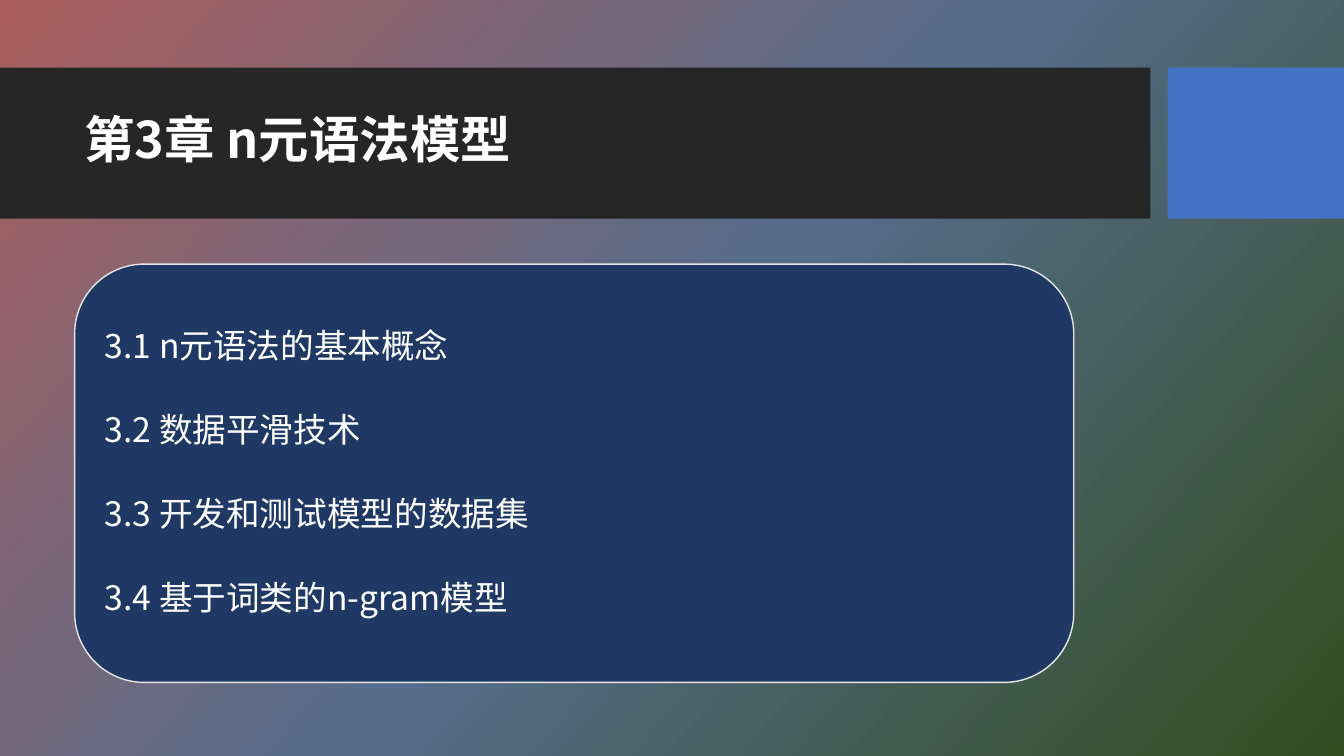
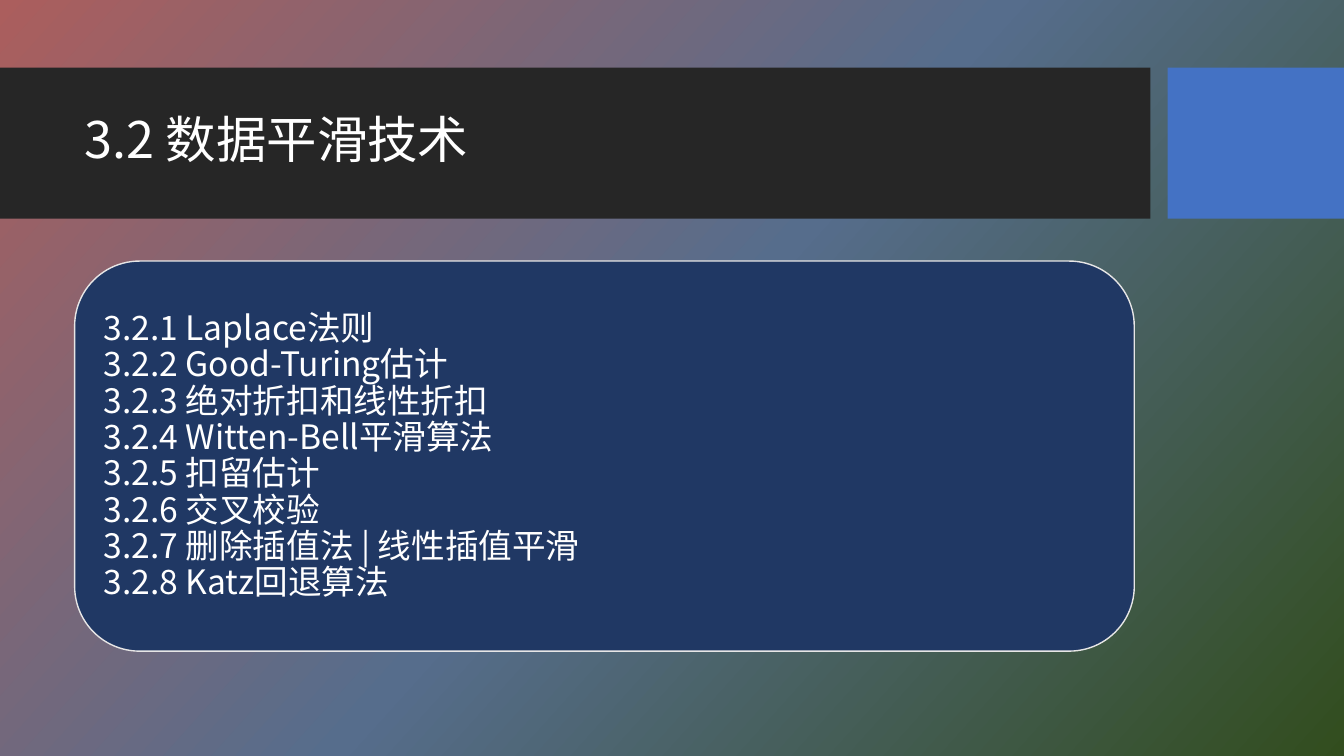
import copy
from pptx import Presentation
from pptx.dml.color import RGBColor
from pptx.enum import shapes, text
from pptx.oxml import ns, xmlchemy
from pptx.util import Inches, Pt

FONT = "Noto Sans CJK SC"
WHITE, DARK, BLUE, NAVY, PALE = "FFFFFF", "262626", "4472C4", "203864", "E7E6E6"
BACKGROUND = [(0, "AB5E5D"), (0.5, "566D8C"), (1, "324D1E")]

SLIDES = [
    dict(title="第3章 n元语法模型", bold=True,
         panel=(0.74, 2.62, 9.91, 4.15), gap=34,
         lines=["3.1 n元语法的基本概念", "3.2 数据平滑技术",
                "3.3 开发和测试模型的数据集", "3.4 基于词类的n-gram模型"]),
    dict(title="3.2 数据平滑技术", bold=False,
         panel=(0.74, 2.59, 10.51, 3.87), gap=0,
         lines=["3.2.1 Laplace法则", "3.2.2 Good-Turing估计",
                "3.2.3 绝对折扣和线性折扣", "3.2.4 Witten-Bell平滑算法",
                "3.2.5 扣留估计", "3.2.6 交叉校验",
                "3.2.7 删除插值法 | 线性插值平滑", "3.2.8 Katz回退算法"]),
]


def add_block(slide, kind, box, fill, line=None):
    shape = slide.shapes.add_shape(kind, *map(Inches, box))
    shape.shadow.inherit = False
    shape.fill.solid()
    shape.fill.fore_color.rgb = RGBColor.from_string(fill)
    if line:
        shape.line.color.rgb = RGBColor.from_string(line)
        shape.line.width = Pt(1)
    else:
        shape.line.fill.background()
    return shape


def write_text(shape, lines, size, spacing, bold=False, gap=0, left=0.1):
    frame = shape.text_frame
    frame.word_wrap = True
    frame.vertical_anchor = text.MSO_ANCHOR.MIDDLE
    frame.margin_left = Inches(left)
    frame.text = "\n".join(lines)
    for index, paragraph in enumerate(frame.paragraphs):
        paragraph.alignment = text.PP_ALIGN.LEFT
        paragraph.line_spacing = spacing
        paragraph.space_before = Pt(gap if index else 0)
        font = paragraph.runs[0].font
        font.size, font.bold, font.name = Pt(size), bold, FONT
        font.color.rgb = RGBColor.from_string(WHITE)
        # East Asian typeface
        latin = paragraph.runs[0]._r.find(".//" + ns.qn("a:latin"))
        east_asian = xmlchemy.OxmlElement("a:ea")
        east_asian.set("typeface", FONT)
        latin.addnext(east_asian)


presentation = Presentation()
presentation.slide_width, presentation.slide_height = Inches(13.33), Inches(7.5)

# Shared gradient background, running to the lower right
master = presentation.slide_master
background = master.background.fill
background.gradient()
background.gradient_angle = 360 - 42
stop_list = master.element.find(".//" + ns.qn("a:gsLst"))
stop_list.append(copy.deepcopy(stop_list[-1]))
for stop, (position, color) in zip(background.gradient_stops, BACKGROUND):
    stop.position = position
    stop.color.rgb = RGBColor.from_string(color)

for content in SLIDES:
    slide = presentation.slides.add_slide(presentation.slide_layouts[6])

    # Title band and accent block
    add_block(slide, shapes.MSO_SHAPE.RECTANGLE, (0, 0.67, 11.41, 1.5), DARK)
    add_block(slide, shapes.MSO_SHAPE.RECTANGLE, (11.58, 0.67, 1.75, 1.5), BLUE)
    title = slide.shapes.add_textbox(*map(Inches, (0.74, 0.82, 10.51, 1.18)))
    write_text(title, [content["title"]], 36, 0.9, bold=content["bold"])

    # Contents panel
    panel = add_block(slide, shapes.MSO_SHAPE.ROUNDED_RECTANGLE,
                      content["panel"], NAVY, PALE)
    # The rounded corners inset the text area by about 0.2 inches
    write_text(panel, content["lines"], 24, Pt(26), gap=content["gap"])

presentation.save("out.pptx")
